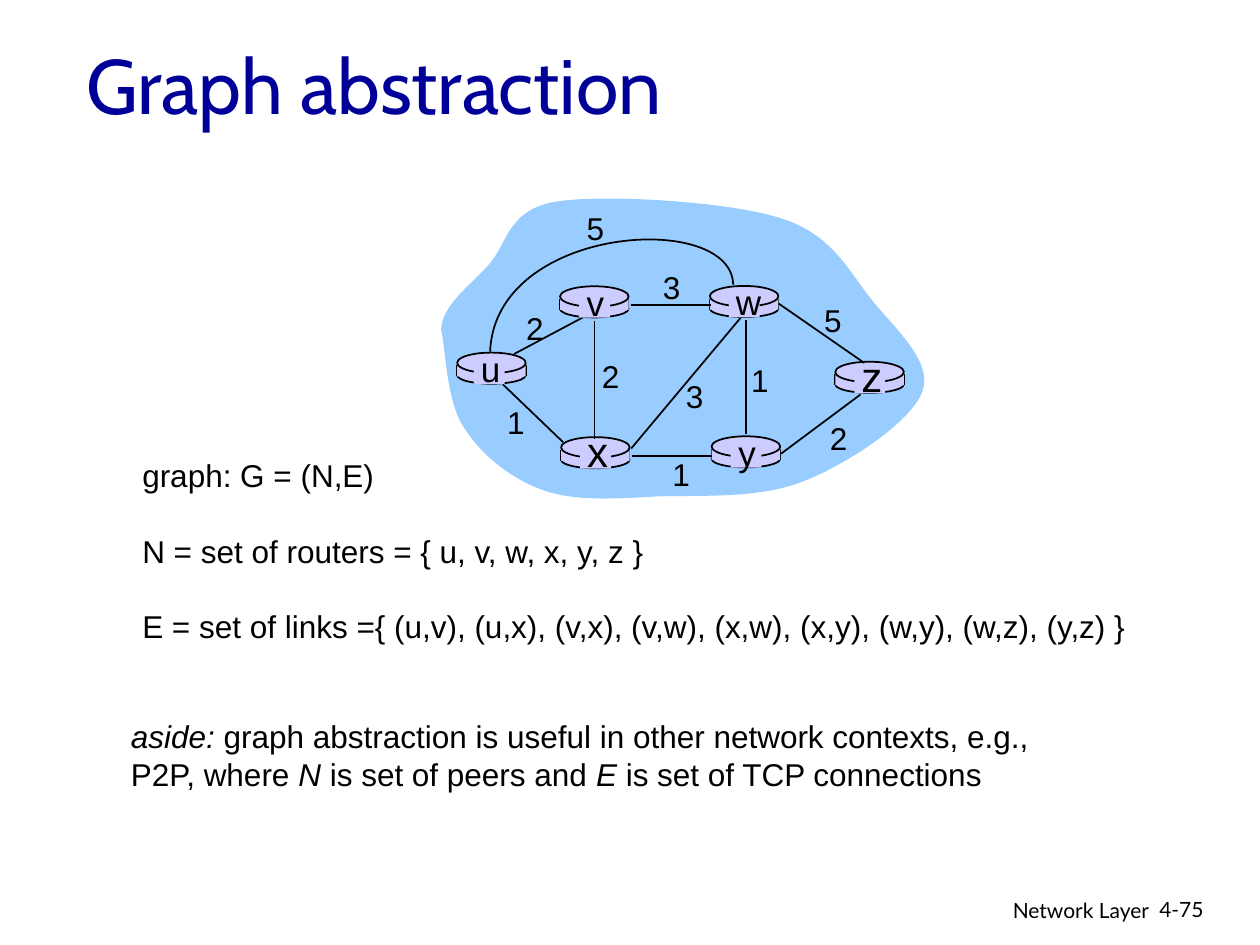
from dataclasses import dataclass

from lxml.etree import Element, SubElement
from pptx import Presentation
from pptx.dml.color import RGBColor
from pptx.enum.shapes import MSO_CONNECTOR as Line, MSO_SHAPE as Preset
from pptx.enum.text import MSO_ANCHOR as Anchor, PP_ALIGN as Align
from pptx.oxml.ns import qn
from pptx.util import Pt


@dataclass(frozen=True)
class Theme:
    ink: RGBColor = RGBColor(0x00, 0x00, 0x00)
    heading: RGBColor = RGBColor(0x00, 0x00, 0x99)
    cloud: RGBColor = RGBColor(0x99, 0xCC, 0xFF)
    router: RGBColor = RGBColor(0xCC, 0xCC, 0xFF)
    body_font: str = "Arial"
    title_font: str = "Cabin"
    footer_font: str = "Lato"
    title_size: int = 44
    body_size: int = 18
    footer_size: int = 12
    leading: float = 1.2
    stroke: float = 1


@dataclass(frozen=True)
class Router:
    name: str
    left: float
    top: float
    name_size: int = 20
    name_x: float = 20.3  # centre of the name, from the left edge
    name_y: float = 9.2   # centre of the name, from the top edge


THEME = Theme()
DISK_WIDTH = 39.2

ROUTERS = [
    Router("u", 261.2, 201.5, name_x=19),
    Router("x", 320.6, 249.8, name_size=24, name_y=7.6),
    Router("v", 320, 163.6),
    Router("w", 405.6, 163.4),
    Router("y", 406.6, 249.3),
    Router("z", 477.3, 206.7, name_size=24, name_y=7.8),
]

LINK_UV = (293.8, 202.3, 337, 179.3)
LINKS = [
    (426.2, 182.9, 426.2, 247.9),  # w-y
    (339.8, 183.6, 339.8, 250.6),  # v-x
    (360.7, 256.3, 423.4, 181.4),  # x-w
    (446.4, 259.2, 491.8, 225.4),  # y-z
    (361.4, 260.6, 406.8, 260.6),  # x-y
    (321.8, 252.7, 287.3, 219.6),  # u-x
    (360.7, 174.2, 406.1, 174.2),  # v-w
    (493.9, 207.4, 445, 173.5),    # w-z
]

# Cost of each link and the centre of its label
COSTS = [
    ("2", 305.7, 187.2), ("2", 348.9, 214.6), ("1", 294.8, 241.2),
    ("3", 397, 226.1), ("1", 389.2, 270.7), ("1", 434.2, 217),
    ("2", 479.2, 250.2), ("5", 475.9, 182.9), ("3", 383.8, 164.2),
    ("5", 340.2, 130.6),
]

# Bezier outlines: a start point, then two controls and an end per curve
CLOUD = [
    (252, 188.6),
    (252.7, 174.2), (268.6, 163.4), (279.4, 151.2),
    (290.2, 139), (290.2, 119.5), (318.2, 115.2),
    (345.6, 110.9), (416.2, 115.2), (445.7, 124.6),
    (475.9, 133.9), (484.6, 154.8), (498.2, 171.4),
    (511.2, 187.9), (533.5, 206.6), (527, 223.9),
    (520.6, 241.2), (484.6, 265), (459.4, 275),
    (434.2, 285.1), (401, 283), (375.8, 283.7),
    (351.4, 285.1), (328.3, 286.6), (310.3, 280.1),
    (291.6, 273.6), (274.3, 259.2), (265, 244.1),
    (254.9, 228.9), (254.9, 200.2), (252, 188.6),
]
LINK_UW = [(419, 162.7), (418.3, 120.2), (283, 128.2), (280.1, 200.9)]


def paint(shape, fill=None, line=None):
    """Give a shape a flat fill and outline; None means neither."""
    shape.shadow.inherit = False
    if fill is None:
        shape.fill.background()
    else:
        shape.fill.solid()
        shape.fill.fore_color.rgb = fill
    if line is None:
        shape.line.fill.background()
    else:
        shape.line.color.rgb = line
        shape.line.width = Pt(THEME.stroke)


def add_preset(slide, preset, left, top, width, height, line=None):
    shape = slide.shapes.add_shape(preset, Pt(left), Pt(top), Pt(width), Pt(height))
    paint(shape, THEME.router, line)


def add_link(slide, x1, y1, x2, y2):
    link = slide.shapes.add_connector(Line.STRAIGHT, Pt(x1), Pt(y1), Pt(x2), Pt(y2))
    link.line.color.rgb = THEME.ink
    link.line.width = Pt(THEME.stroke)
    SubElement(link._element.spPr, qn("a:effectLst"))


def add_curve(slide, outline, close=False, fill=None, line=None):
    """Build a freeform, then turn each three segments into one Bezier curve."""
    start, *rest = [(Pt(x), Pt(y)) for x, y in outline]
    builder = slide.shapes.build_freeform(*start)
    builder.add_line_segments(rest, close=close)
    shape = builder.convert_to_shape()
    segments = list(shape._element.iter(qn("a:lnTo")))
    for i in range(0, len(rest), 3):
        curve = Element(qn("a:cubicBezTo"))
        segments[i].addprevious(curve)
        for segment in segments[i:i + 3]:
            curve.append(segment[0])
            segment.getparent().remove(segment)
    paint(shape, fill, line)


def add_text(slide, lines, left, top, width, height, size=THEME.body_size,
             font=THEME.body_font, color=THEME.ink, align=Align.LEFT,
             anchor=Anchor.TOP, leading=None, gap=0):
    """Write one paragraph per line; words between asterisks are italic."""
    box = slide.shapes.add_textbox(Pt(left), Pt(top), Pt(width), Pt(height))
    frame = box.text_frame
    frame.word_wrap = True
    frame.vertical_anchor = anchor
    for number, text in enumerate(lines):
        paragraph = frame.add_paragraph() if number else frame.paragraphs[0]
        paragraph.alignment = align
        paragraph.space_after = Pt(gap)
        if leading:
            paragraph.line_spacing = Pt(size * leading)
        for index, piece in enumerate(text.split("*")):
            if not piece:
                continue
            run = paragraph.add_run()
            run.text = piece
            run.font.name = font
            run.font.size = Pt(size)
            run.font.color.rgb = color
            run.font.italic = index % 2 == 1


def add_label(slide, text, x, y, size=THEME.body_size):
    """Centre a short label on a point."""
    width, height = 25, size * THEME.leading + 7.2
    add_text(slide, [text], x - width / 2, y - height / 2, width, height, size,
             align=Align.CENTER, leading=THEME.leading)


def add_router(slide, router):
    left, top = router.left, router.top
    side_top, side_height = top + 7.3, 6.3
    add_preset(slide, Preset.OVAL, left, top + 8, DISK_WIDTH, 9.8, THEME.ink)
    for x in (left, left + DISK_WIDTH):
        add_link(slide, x, side_top, x, side_top + side_height)
    add_preset(slide, Preset.RECTANGLE, left, side_top, DISK_WIDTH, side_height)
    add_preset(slide, Preset.OVAL, left, top, DISK_WIDTH, 11.7, THEME.ink)


def add_router_name(slide, router):
    x = router.left + router.name_x
    add_preset(slide, Preset.RECTANGLE, x - 9.4, router.top + 1.4, 17.6, 16.6)
    add_label(slide, router.name, x, router.top + router.name_y, router.name_size)


def main():
    deck = Presentation()
    deck.slide_width, deck.slide_height = Pt(720), Pt(540)
    slide = deck.slides.add_slide(deck.slide_layouts[6])

    # Footer
    footer = dict(size=THEME.footer_size, font=THEME.footer_font)
    add_text(slide, ["Network Layer"], 435.6, 509.3, 228.2, 22, align=Align.RIGHT, **footer)
    add_text(slide, ["4-75"], 655.4, 509, 53.3, 22, **footer)

    # Network graph
    add_curve(slide, CLOUD, close=True, fill=THEME.cloud)
    add_link(slide, *LINK_UV)
    for router in ROUTERS:
        add_router(slide, router)
    for link in LINKS:
        add_link(slide, *link)
    add_curve(slide, LINK_UW, line=THEME.ink)
    for router in ROUTERS:
        add_router_name(slide, router)
    for cost in COSTS:
        add_label(slide, *cost)

    # Definitions
    add_text(slide, [
        "graph: G = (N,E)",
        "N = set of routers = { u, v, w, x, y, z }",
        "E = set of links ={ (u,v), (u,x), (v,x), (v,w), (x,w), (x,y), (w,y), (w,z), (y,z) }",
    ], 74.2, 257.2, 582.5, 115.2, leading=THEME.leading, gap=THEME.body_size * THEME.leading)

    # Title
    add_text(slide, ["Graph abstraction"], 42.1, 16.8, 612, 62.6, THEME.title_size,
             THEME.title_font, THEME.heading, anchor=Anchor.MIDDLE)

    # Aside
    add_text(slide, [
        "*aside:* graph abstraction is useful in other network contexts, e.g.,",
        "P2P, where *N* is set of peers and *E* is set of TCP connections",
    ], 67.7, 406.1, 578.2, 50.4, leading=THEME.leading)

    deck.save("out.pptx")


if __name__ == "__main__":
    main()
